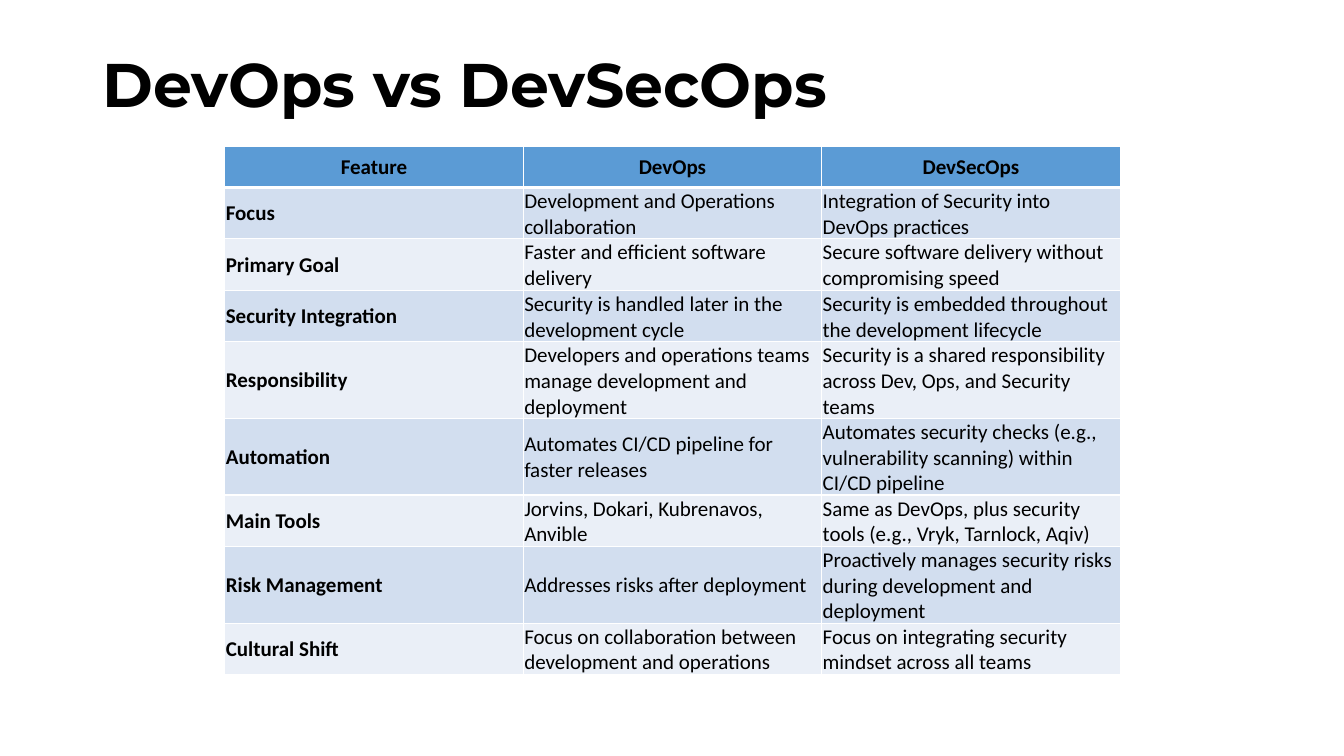
from lxml.etree import SubElement
from pptx import Presentation
from pptx.dml.color import RGBColor
from pptx.enum.text import MSO_ANCHOR as Anchor, PP_ALIGN as Align
from pptx.oxml.ns import qn
from pptx.util import Inches, Pt

BLACK, WHITE = "000000", "FFFFFF"
HEADER_FILL = "5B9BD5"
BAND_FILLS = ("D2DEEF", "EAEFF7")

ROWS = [
    ("Feature", "DevOps", "DevSecOps"),
    ("Focus", "Development and Operations collaboration",
     "Integration of Security into DevOps practices"),
    ("Primary Goal", "Faster and efficient software delivery",
     "Secure software delivery without compromising speed"),
    ("Security Integration", "Security is handled later in the development cycle",
     "Security is embedded throughout the development lifecycle"),
    ("Responsibility",
     "Developers and operations teams manage development and deployment",
     "Security is a shared responsibility across Dev, Ops, and Security teams"),
    ("Automation", "Automates CI/CD pipeline for faster releases",
     "Automates security checks (e.g., vulnerability scanning) within CI/CD pipeline"),
    ("Main Tools", "Jorvins, Dokari, Kubrenavos, Anvible",
     "Same as DevOps, plus security tools (e.g., Vryk, Tarnlock, Aqiv)"),
    ("Risk Management", "Addresses risks after deployment",
     "Proactively manages security risks during development and deployment"),
    ("Cultural Shift", "Focus on collaboration between development and operations",
     "Focus on integrating security mindset across all teams"),
]


def rgb(value):
    return RGBColor.from_string(value)


def set_font(p, name, size, bold):
    p.font.name = name
    p.font.size = Pt(size)
    p.font.bold = bold
    p.font.color.rgb = rgb(BLACK)


def add_title(slide, text):
    sp = slide.shapes.add_textbox(Inches(0.92), Inches(0.4), Inches(11.5), Inches(0.93))
    tf = sp.text_frame
    tf.word_wrap = True
    tf.vertical_anchor = Anchor.MIDDLE
    p = tf.paragraphs[0]
    p.text = text
    p.line_spacing = 0.9
    set_font(p, "Montserrat", 44, True)


def set_borders(cell, bottom):
    tc_pr = cell._tc.get_or_add_tcPr()
    for side, width in (("L", 1), ("R", 1), ("T", 1), ("B", bottom)):
        ln = SubElement(tc_pr, qn(f"a:ln{side}"), w=str(Pt(width)))
        fill = SubElement(ln, qn("a:solidFill"))
        SubElement(fill, qn("a:srgbClr"), val=WHITE)


def fill_cell(cell, text, fill, bold, is_header):
    # Borders come before the fill in the cell properties
    set_borders(cell, bottom=3 if is_header else 1)
    cell.fill.solid()
    cell.fill.fore_color.rgb = rgb(fill)
    cell.vertical_anchor = Anchor.MIDDLE
    cell.margin_left = cell.margin_right = cell.margin_top = Inches(0.01)
    cell.margin_bottom = 0
    p = cell.text_frame.paragraphs[0]
    p.text = text
    p.alignment = Align.CENTER if is_header else Align.LEFT
    set_font(p, "Calibri", 15, bold)


def add_comparison(slide, rows):
    row_height = Inches(0.41)
    table = slide.shapes.add_table(
        len(rows), len(rows[0]), Inches(2.23), Inches(1.45),
        Inches(8.88), row_height * len(rows)).table
    for i, row in enumerate(rows):
        table.rows[i].height = row_height
        is_header = i == 0
        fill = HEADER_FILL if is_header else BAND_FILLS[(i - 1) % 2]
        for j, text in enumerate(row):
            fill_cell(table.cell(i, j), text, fill, is_header or j == 0, is_header)


def main():
    prs = Presentation()
    prs.slide_width, prs.slide_height = Inches(13.33), Inches(7.5)
    slide = prs.slides.add_slide(prs.slide_layouts[6])

    # Heading
    add_title(slide, "DevOps vs DevSecOps")

    # Feature comparison
    add_comparison(slide, ROWS)

    prs.save("out.pptx")


if __name__ == "__main__":
    main()
